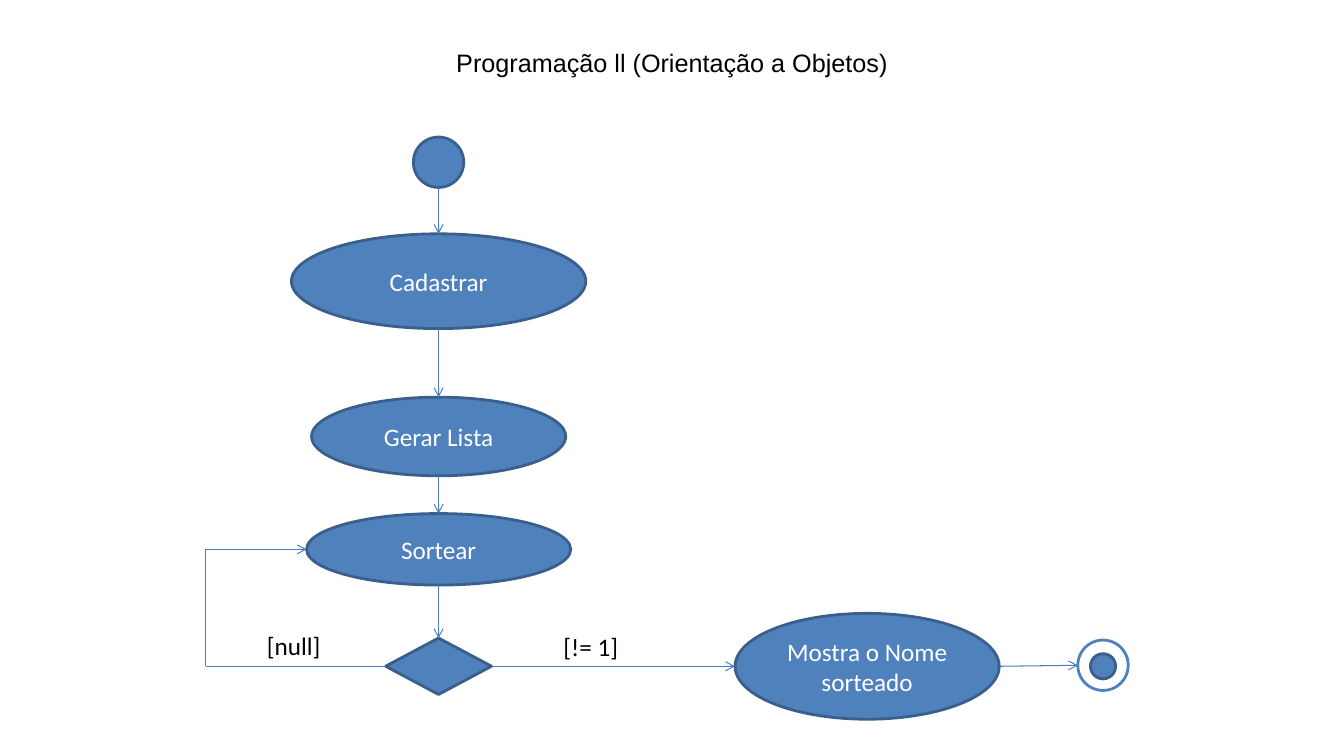
import itertools
import lxml.etree
import pptx
import pptx.dml.color
import pptx.enum.shapes
import pptx.enum.text
import pptx.oxml.ns
import pptx.util

RGB = pptx.dml.color.RGBColor
BLUE = RGB(0x4F, 0x81, 0xBD)
EDGE = RGB(0x3A, 0x5F, 0x8C)
WIRE = RGB(0x4B, 0x7E, 0xBC)
WHITE = RGB(255, 255, 255)
BLACK = RGB(0, 0, 0)
Inches = pptx.util.Inches
KIND = pptx.enum.shapes.MSO_SHAPE
ALIGN = pptx.enum.text.PP_ALIGN
qn = pptx.oxml.ns.qn

AXIS = 4.35
ROW = 6.61
LOOP = 2.04


class Chart:
    def __init__(self, slide):
        self.shapes = slide.shapes
        self.size = pptx.util.Pt(18)
        self.edge = pptx.util.Pt(2)
        self.thin = pptx.util.Pt(0.75)

    def apply(self, item, style):
        for name, value in style.items():
            setattr(item, name, value)

    def words(self, frame, text, color, font="Calibri", align=ALIGN.LEFT):
        para = frame.paragraphs[0]
        para.alignment = align
        run = para.add_run()
        run.text = text
        self.apply(run.font, {"name": font, "size": self.size})
        run.font.color.rgb = color

    def node(self, kind, x, y, wide, high, text="", fill=BLUE, edge=EDGE):
        box = map(Inches, (x - wide / 2, y - high / 2, wide, high))
        shape = self.shapes.add_shape(kind, *box)
        shape.shadow.inherit = False
        shape.fill.solid()
        shape.fill.fore_color.rgb = fill
        shape.line.color.rgb = edge
        shape.line.width = self.edge
        if text:
            frame = shape.text_frame
            self.apply(frame, {
                "word_wrap": True,
                "vertical_anchor": pptx.enum.text.MSO_ANCHOR.MIDDLE,
            })
            self.words(frame, text, WHITE, align=ALIGN.CENTER)

    def label(self, x, y, wide, high, text, wrap=True, **style):
        box = self.shapes.add_textbox(*map(Inches, (x, y, wide, high)))
        box.text_frame.word_wrap = wrap
        self.words(box.text_frame, text, BLACK, **style)

    def wire(self, start, end, arrow=True):
        line = self.shapes.add_connector(
            pptx.enum.shapes.MSO_CONNECTOR.STRAIGHT,
            *map(Inches, (*start, *end)))
        line.line.color.rgb = WIRE
        line.line.width = self.thin
        props = line.element.spPr
        if arrow:
            lxml.etree.SubElement(
                props.find(qn("a:ln")), qn("a:tailEnd"), type="arrow")
        lxml.etree.SubElement(props, qn("a:effectLst"))


deck = pptx.Presentation()
deck.slide_width = Inches(13.33)
deck.slide_height = Inches(7.5)
chart = Chart(deck.slides.add_slide(deck.slide_layouts[6]))

chart.label(0, 0.42, 13.33, 0.4, "Programação ll (Orientação a Objetos)",
            font="Arial", align=ALIGN.CENTER)

steps = [
    (KIND.FLOWCHART_CONNECTOR, 1.61, 0.5, 0.5, ""),
    (KIND.OVAL, 2.79, 2.92, 0.94, "Cadastrar"),
    (KIND.OVAL, 4.33, 2.52, 0.78, "Gerar Lista"),
    (KIND.OVAL, 5.45, 2.62, 0.71, "Sortear"),
    (KIND.DIAMOND, ROW, 1.05, 0.56, ""),
]
for kind, y, wide, high, text in steps:
    chart.node(kind, AXIS, y, wide, high, text)
for above, below in itertools.pairwise(steps):
    chart.wire((AXIS, above[1] + above[3] / 2),
               (AXIS, below[1] - below[3] / 2))

chart.node(KIND.OVAL, 8.6, ROW, 2.62, 1.05, "Mostra o Nome sorteado")
chart.node(KIND.FLOWCHART_CONNECTOR, 10.94, 6.6, 0.5, 0.5,
           fill=WHITE, edge=BLUE)
chart.node(KIND.FLOWCHART_CONNECTOR, 10.94, ROW, 0.25, 0.25)
chart.wire((4.88, ROW), (7.29, ROW))
chart.wire((9.92, ROW), (10.69, 6.6))

back = [(3.83, ROW), (LOOP, ROW), (LOOP, 5.45), (3.04, 5.45)]
for start, end in itertools.pairwise(back):
    chart.wire(start, end, arrow=end == back[-1])

chart.label(5.49, 6.21, 1.05, 0.4, "[!= 1]")
chart.label(2.55, 6.2, 0.74, 0.4, "[null]", wrap=False)

deck.save("out.pptx")
